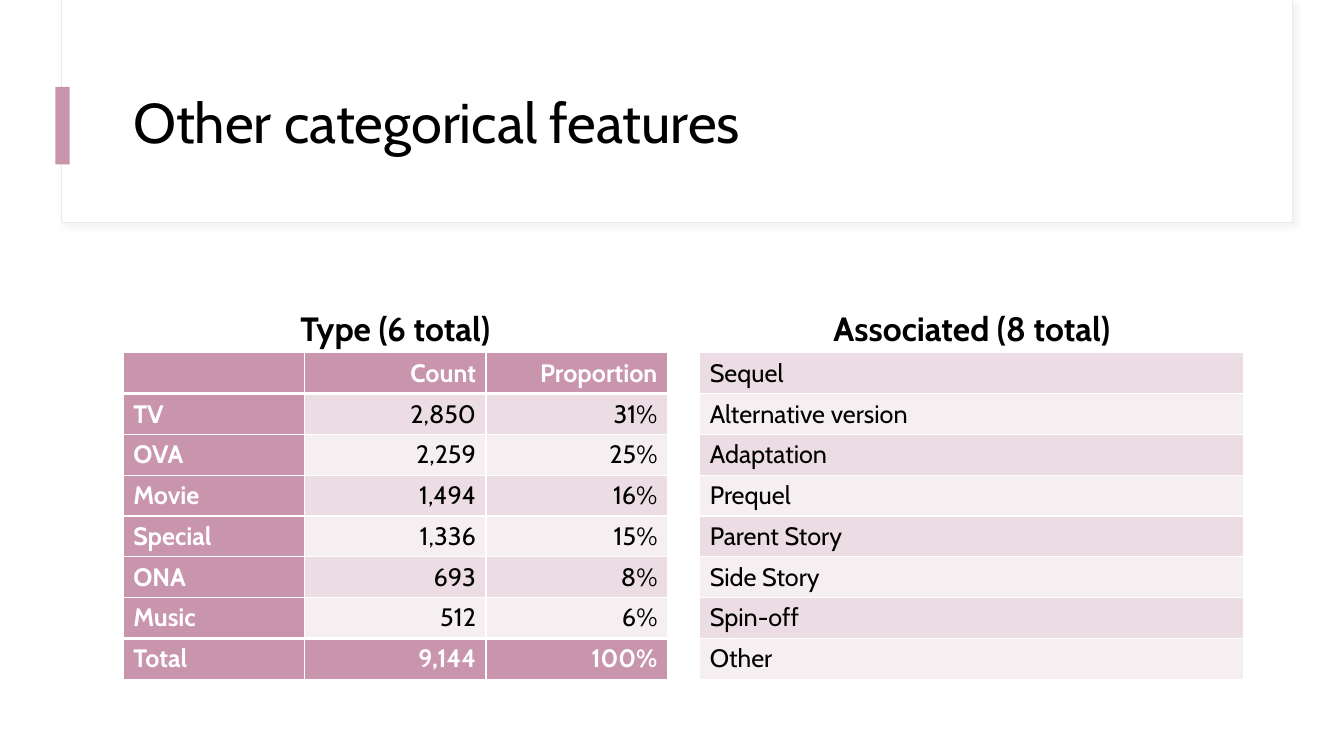
from lxml import etree
from pptx import Presentation
from pptx.dml.color import RGBColor
from pptx.enum.shapes import MSO_SHAPE
from pptx.enum.text import MSO_ANCHOR, PP_ALIGN
from pptx.oxml import parse_xml
from pptx.oxml.ns import nsdecls, qn
from pptx.util import Pt

RECTANGLE = MSO_SHAPE.RECTANGLE
MIDDLE, BOTTOM = MSO_ANCHOR.MIDDLE, MSO_ANCHOR.BOTTOM
LEFT, CENTER, RIGHT = PP_ALIGN.LEFT, PP_ALIGN.CENTER, PP_ALIGN.RIGHT

WHITE = RGBColor(0xFF, 0xFF, 0xFF)
BLACK = RGBColor(0x00, 0x00, 0x00)
ROSE = RGBColor(0xC8, 0x95, 0xAC)
FRAME_LINE = RGBColor(0xF0, 0xE8, 0xE5)
SHADOW = RGBColor(0xD9, 0xD9, 0xD9)
BANDS = (RGBColor(0xEB, 0xDD, 0xE3), RGBColor(0xF5, 0xEF, 0xF1))

FONT = "Cabin"
TITLE_FORMAT = {"name": FONT, "size": Pt(40), "bold": False}
HEADING_FORMAT = {"name": FONT, "size": Pt(24), "bold": True}
CELL_FORMAT = {"name": FONT, "size": Pt(18), "bold": False}
LABEL_FORMAT = {**CELL_FORMAT, "bold": True}

HEADING_HEIGHT = 65
ROW_HEIGHT = 29.16
THIN, THICK = 1, 3

TYPE_ROWS = [
    ("", "Count", "Proportion"),
    ("TV", "2,850", "31%"),
    ("OVA", "2,259", "25%"),
    ("Movie", "1,494", "16%"),
    ("Special", "1,336", "15%"),
    ("ONA", "693", "8%"),
    ("Music", "512", "6%"),
    ("Total", "9,144", "100%"),
]
ASSOCIATED_ROWS = [
    ("Sequel",), ("Alternative version",), ("Adaptation",), ("Prequel",),
    ("Parent Story",), ("Side Story",), ("Spin-off",), ("Other",),
]


def write(para, text, color, formats):
    span = para.add_run()
    span.text = text
    for name, value in formats.items():
        setattr(span.font, name, value)
    span.font.color.rgb = color


def add_text(slide, box, text, formats, anchor, align, spacing):
    frame = slide.shapes.add_textbox(*map(Pt, box)).text_frame
    frame.word_wrap = True
    frame.vertical_anchor = anchor
    para = frame.paragraphs[0]
    para.alignment = align
    para.line_spacing = spacing
    write(para, text, BLACK, formats)


def add_block(slide, box, fill):
    block = slide.shapes.add_shape(RECTANGLE, *map(Pt, box))
    block.shadow.inherit = False
    block.fill.solid()
    block.fill.fore_color.rgb = fill
    block.line.fill.background()
    return block


def add_header(slide, box):
    """Draw the framed title panel, its accent bar and the title."""
    left, top, width, height = box
    frame = add_block(slide, box, WHITE)
    frame.line.color.rgb = FRAME_LINE
    frame.line.width = Pt(0.75)
    effects = frame._element.spPr.find(qn("a:effectLst"))
    effects.append(parse_xml(
        f'<a:outerShdw {nsdecls("a")} blurRad="{Pt(4)}" dist="{Pt(3)}" '
        f'dir="2700000" algn="tl" rotWithShape="0"><a:srgbClr val="{SHADOW}">'
        '<a:alpha val="30000"/></a:srgbClr></a:outerShdw>'))
    add_block(slide, (left + 0.5, top, width - 0.72, height - 0.6), WHITE)
    add_block(slide, (left - 4.4, top + 62, 10.2, 55.4), ROSE)
    add_text(slide, (left + 44, top + 43.2, width - 78.4, 92.9),
             "Other categorical features", TITLE_FORMAT, MIDDLE, LEFT, 0.9)


def set_borders(cell, widths):
    properties = cell._tc.get_or_add_tcPr()
    for side, width in widths.items():
        line = etree.SubElement(properties, qn(f"a:ln{side}"), w=str(Pt(width)))
        fill = etree.SubElement(line, qn("a:solidFill"))
        etree.SubElement(fill, qn("a:srgbClr"), val=str(WHITE))


def add_panel(slide, box, heading, rows, labelled):
    """Place a heading over a table; a labelled one has header, label and total cells."""
    left, top, width, height = box
    add_text(slide, (left, top, width, HEADING_HEIGHT), heading,
             HEADING_FORMAT, BOTTOM, CENTER, 1.1)
    last = len(rows) - 1
    table = slide.shapes.add_table(
        len(rows), len(rows[0]), Pt(left), Pt(top + HEADING_HEIGHT), Pt(width),
        Pt(height - HEADING_HEIGHT)).table
    table.first_row = table.horz_banding = False
    for row_index, row in enumerate(rows):
        table.rows[row_index].height = Pt(ROW_HEIGHT)
        thick_top = labelled and row_index in (1, last)
        thick_bottom = labelled and row_index in (0, last - 1)
        for column_index, text in enumerate(row):
            cell = table.cell(row_index, column_index)
            is_label = labelled and (row_index in (0, last) or column_index == 0)
            set_borders(cell, {"L": THIN, "R": THIN,
                               "T": THICK if thick_top else THIN,
                               "B": THICK if thick_bottom else THIN})
            cell.fill.solid()
            cell.fill.fore_color.rgb = (
                ROSE if is_label else BANDS[(row_index - labelled) % 2])
            para = cell.text_frame.paragraphs[0]
            para.alignment = RIGHT if column_index else LEFT
            if text:
                write(para, text, WHITE if is_label else BLACK,
                      LABEL_FORMAT if is_label else CELL_FORMAT)


def main():
    deck = Presentation()
    deck.slide_width, deck.slide_height = Pt(960), Pt(540)
    slide = deck.slides.add_slide(deck.slide_layouts[6])
    add_header(slide, (44, 0, 879.1, 159))
    panel_height = HEADING_HEIGHT + len(TYPE_ROWS) * ROW_HEIGHT
    add_panel(slide, (88, 187, 388.8, panel_height),
              "Type (6 total)", TYPE_ROWS, True)
    add_panel(slide, (499.8, 187, 388.8, panel_height),
              "Associated (8 total)", ASSOCIATED_ROWS, False)
    deck.save("out.pptx")


if __name__ == "__main__":
    main()
